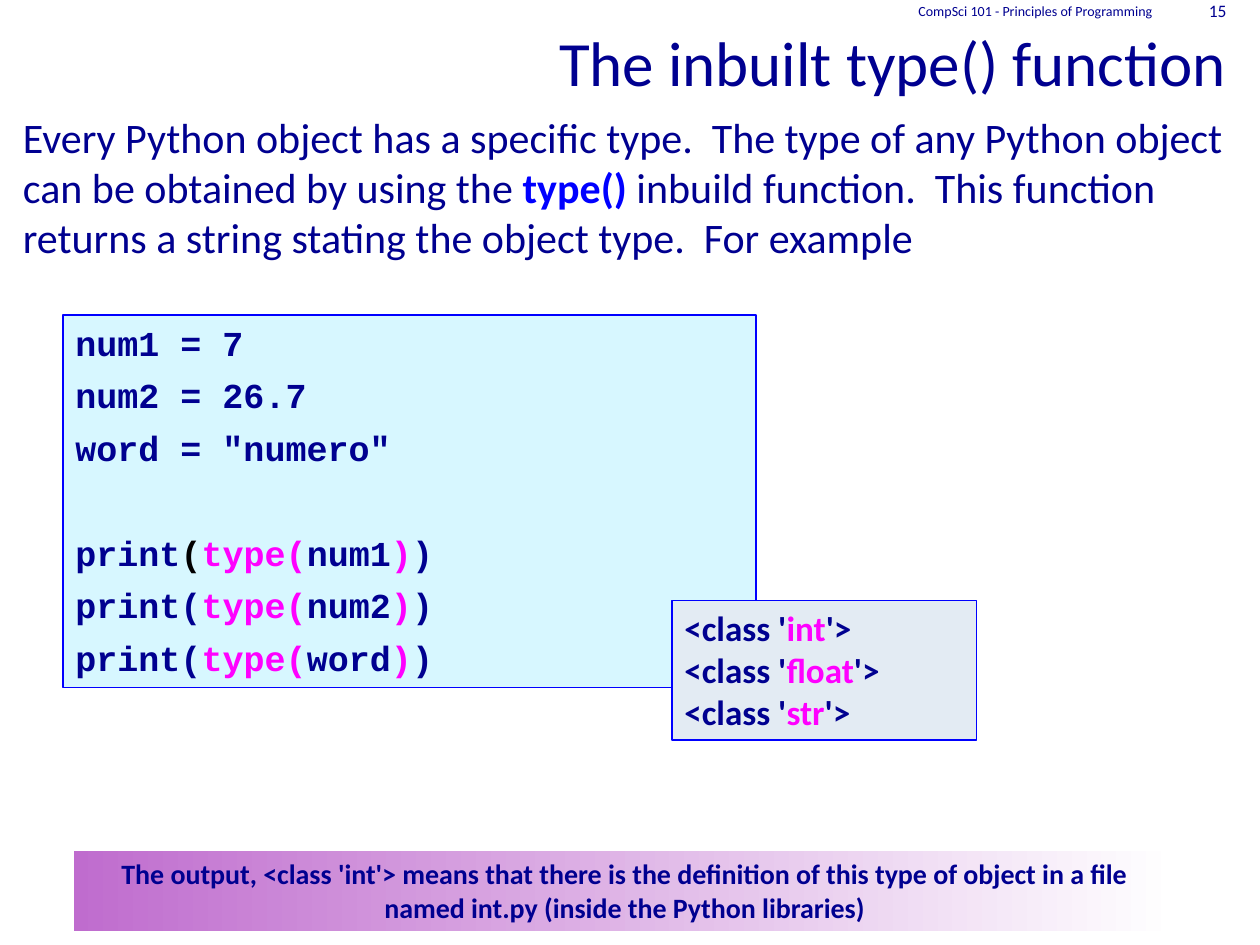
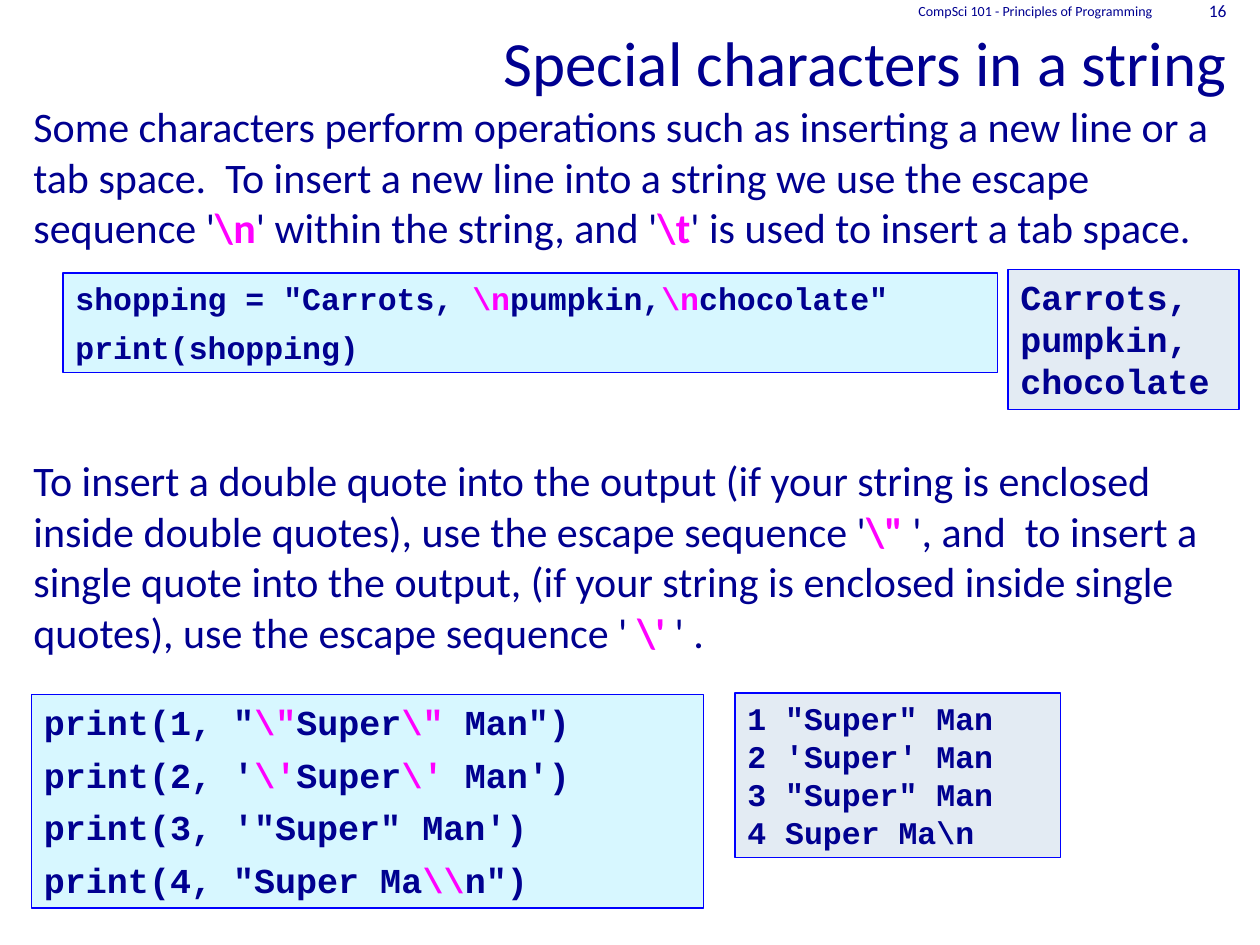
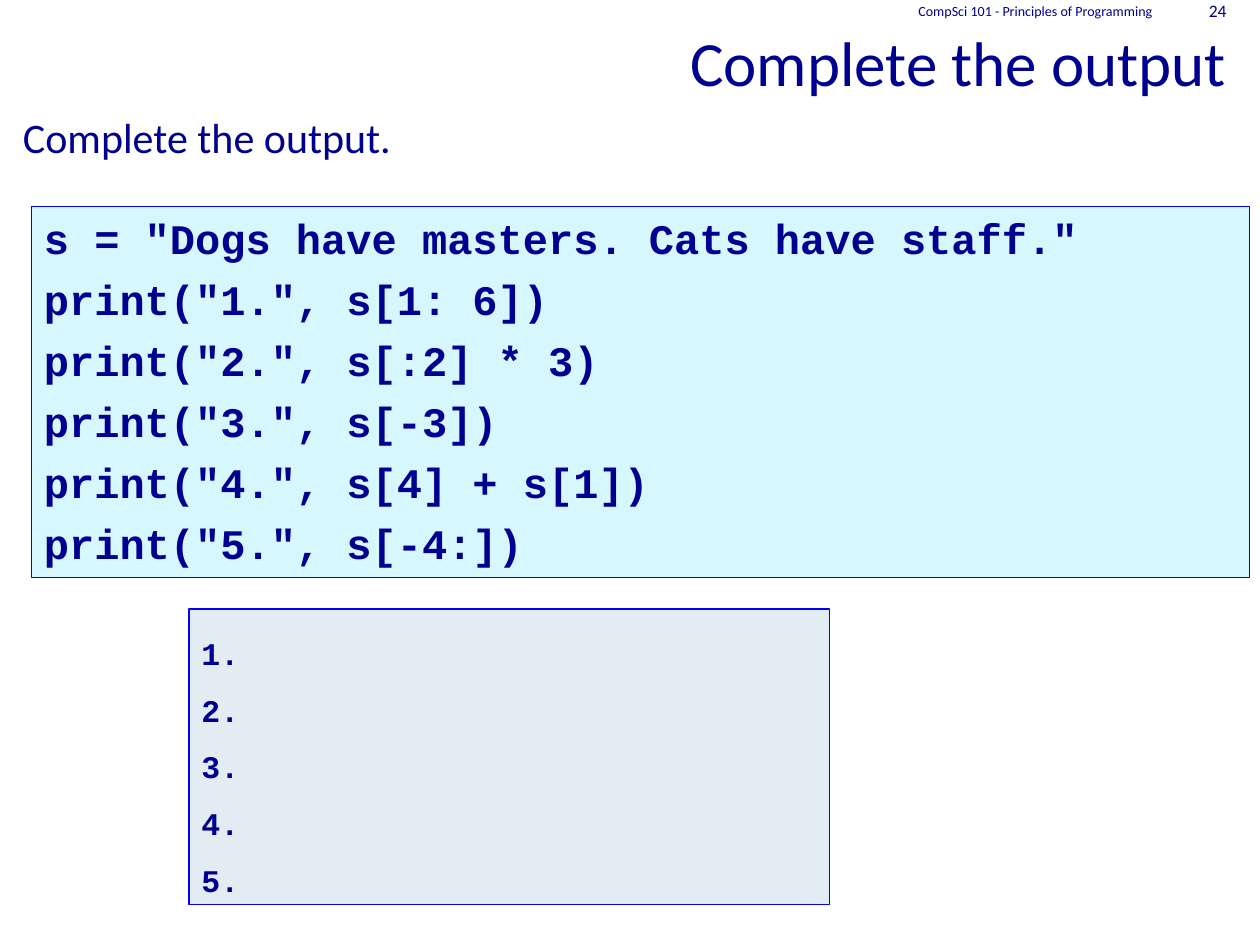
from pptx import Presentation
from pptx.dml.color import RGBColor
from pptx.enum import shapes, text
from pptx.util import Pt

NAVY, BLUE, PINK, BLACK = "000090", "0000FF", "FF00FF", "000000"
CYAN, GREY, MAUVE, WHITE = "D7F7FF", "E3EBF3", "BF6CCE", "FFFFFF"
SANS, MONO = "Calibri", "Courier New"
LEFT, MID, RIGHT = text.PP_ALIGN.LEFT, text.PP_ALIGN.CENTER, text.PP_ALIGN.RIGHT
TOP, CENTRE, BASE = text.MSO_ANCHOR.TOP, text.MSO_ANCHOR.MIDDLE, text.MSO_ANCHOR.BOTTOM


def hue(code):
    return RGBColor.from_string(code)


def split(line, accent):
    if not isinstance(line, str):
        return line
    parts = line.split("~")
    return [(part, accent if i % 2 else NAVY) for i, part in enumerate(parts) if part]


def write(frame, lines, size=24, font=SANS, bold=False, align=LEFT, anchor=TOP,
          accent=PINK, before=0, gaps=None, space=None, fit=False):
    frame.word_wrap = True
    frame.vertical_anchor = anchor
    frame.auto_size = text.MSO_AUTO_SIZE.SHAPE_TO_FIT_TEXT if fit else text.MSO_AUTO_SIZE.NONE
    for i, line in enumerate(lines):
        para = frame.paragraphs[0] if i == 0 else frame.add_paragraph()
        para.alignment = align
        para.space_before = Pt((gaps or {}).get(i, before))
        if space:
            para.line_spacing = space
        for part, color in split(line, accent):
            run = para.add_run()
            run.text = part
            run.font.name = font
            run.font.size = Pt(size)
            run.font.bold = bold or color != NAVY
            run.font.color.rgb = hue(color)


def label(slide, box, lines, **style):
    shape = slide.shapes.add_textbox(*map(Pt, box))
    write(shape.text_frame, lines, **style)


def panel(slide, box, lines, fill, **style):
    shape = slide.shapes.add_shape(shapes.MSO_SHAPE.RECTANGLE, *map(Pt, box))
    shape.shadow.inherit = False
    shape.fill.solid()
    shape.fill.fore_color.rgb = hue(fill)
    shape.line.color.rgb = hue(BLUE)
    shape.line.width = Pt(0.75)
    write(shape.text_frame, lines, bold=True, fit=True, **style)


def code(slide, box, lines, size=20, gaps=None):
    panel(slide, box, lines, CYAN, size=size, font=MONO, before=6, gaps=gaps)


def output(slide, box, lines, size=20, font=MONO, space=None):
    panel(slide, box, lines, GREY, size=size, font=font, space=space)


def banner(slide, box, line):
    shape = slide.shapes.add_shape(shapes.MSO_SHAPE.RECTANGLE, *map(Pt, box))
    shape.shadow.inherit = False
    shape.line.fill.background()
    shape.fill.gradient()
    shape.fill.gradient_angle = 0
    for stop, color in zip(shape.fill.gradient_stops, (MAUVE, WHITE)):
        stop.color.rgb = hue(color)
    write(shape.text_frame, [line], size=16, bold=True, align=MID, fit=True)


def page(deck, title, number):
    slide = deck.slides.add_slide(deck.slide_layouts[5])
    head = slide.shapes.title
    head.left, head.top, head.width, head.height = map(Pt, (0, 0, 708, 60))
    write(head.text_frame, [title], size=36, align=RIGHT, anchor=BASE)
    label(slide, (450, 0, 216, 12), ["CompSci 101 - Principles of Programming"],
          size=8, align=RIGHT, anchor=CENTRE)
    label(slide, (666, 0, 42, 12), [str(number)], size=10, align=RIGHT, anchor=CENTRE)
    return slide


def types(deck):
    slide = page(deck, "The inbuilt type() function", 15)
    label(slide, (6, 60, 702, 462), [
        "Every Python object has a specific type.  The type of any Python object can be "
        "obtained by using the ~type() ~inbuild function.  This function returns a string "
        "stating the object type.  For example"], accent=BLUE)
    banner(slide, (42, 486, 630, 46),
           "The output, <class 'int'> means that there is the definition of this type of "
           "object in a file named int.py (inside the Python libraries)")
    first = [("print", NAVY), ("(", BLACK), ("type(", PINK), ("num1", NAVY),
             (")", PINK), (")", NAVY)]
    calls = [f"print(~type(~{name}~)~)" for name in ("num2", "word")]
    code(slide, (36, 180, 396, 213),
         ["num1 = 7", "num2 = 26.7", 'word = "numero"', first, *calls], gaps={3: 36})
    output(slide, (384, 343, 174, 80),
           [f"<class '~{name}~'>" for name in ("int", "float", "str")], font=SANS)


def escapes(deck):
    slide = page(deck, "Special characters in a string", 16)
    label(slide, (12, 54, 696, 426), [
        "Some characters perform operations such as inserting a new line or a tab space.  "
        "To insert a new line into a string we use the escape sequence "
        r"'~\n~' within the string, and '~\t~' is used to insert a tab space.",
        "To insert a double quote into the output (if your string is enclosed inside double "
        r"quotes), use the escape sequence '~\" ~', and  to insert a single quote into the "
        "output, (if your string is enclosed inside single quotes), use the escape sequence "
        r"' ~\' ~' ."], gaps={1: 116})
    output(slide, (576, 154, 132, 80), ["Carrots,", "pumpkin,", "chocolate"])
    code(slide, (36, 156, 534, 57),
         [r'shopping = "Carrots, ~\n~pumpkin,~\n~chocolate"', "print(shopping)"], size=18)
    output(slide, (420, 396, 186, 94),
           ['1 "Super" Man', "2 'Super' Man", '3 "Super" Man', r"4 Super Ma\n"], size=18)
    code(slide, (18, 397, 384, 122),
         [r'print(1, "~\"~Super~\" ~Man")', r"print(2, '~\'~Super~\' ~Man')",
          "print(3, '\"Super\" Man')", r'print(4, "Super Ma~\\~n")'])


def quiz(deck):
    slide = page(deck, "Complete the output", 24)
    label(slide, (6, 60, 702, 462), ["Complete the output."])
    terms = ["s[1: 6]", "s[:2] * 3", "s[-3]", "s[4] + s[1]", "s[-4:]"]
    code(slide, (18, 118, 696, 212),
         ['s = "Dogs have masters. Cats have staff."']
         + [f'print("{i}.", {term})' for i, term in enumerate(terms, 1)], size=24)
    output(slide, (108, 348, 366, 169),
           [f"{i}." for i in range(1, len(terms) + 1)], size=18, space=1.5)


def main():
    deck = Presentation()
    deck.slide_width, deck.slide_height = Pt(720), Pt(540)
    types(deck)
    escapes(deck)
    quiz(deck)
    deck.save("out.pptx")


if __name__ == "__main__":
    main()
